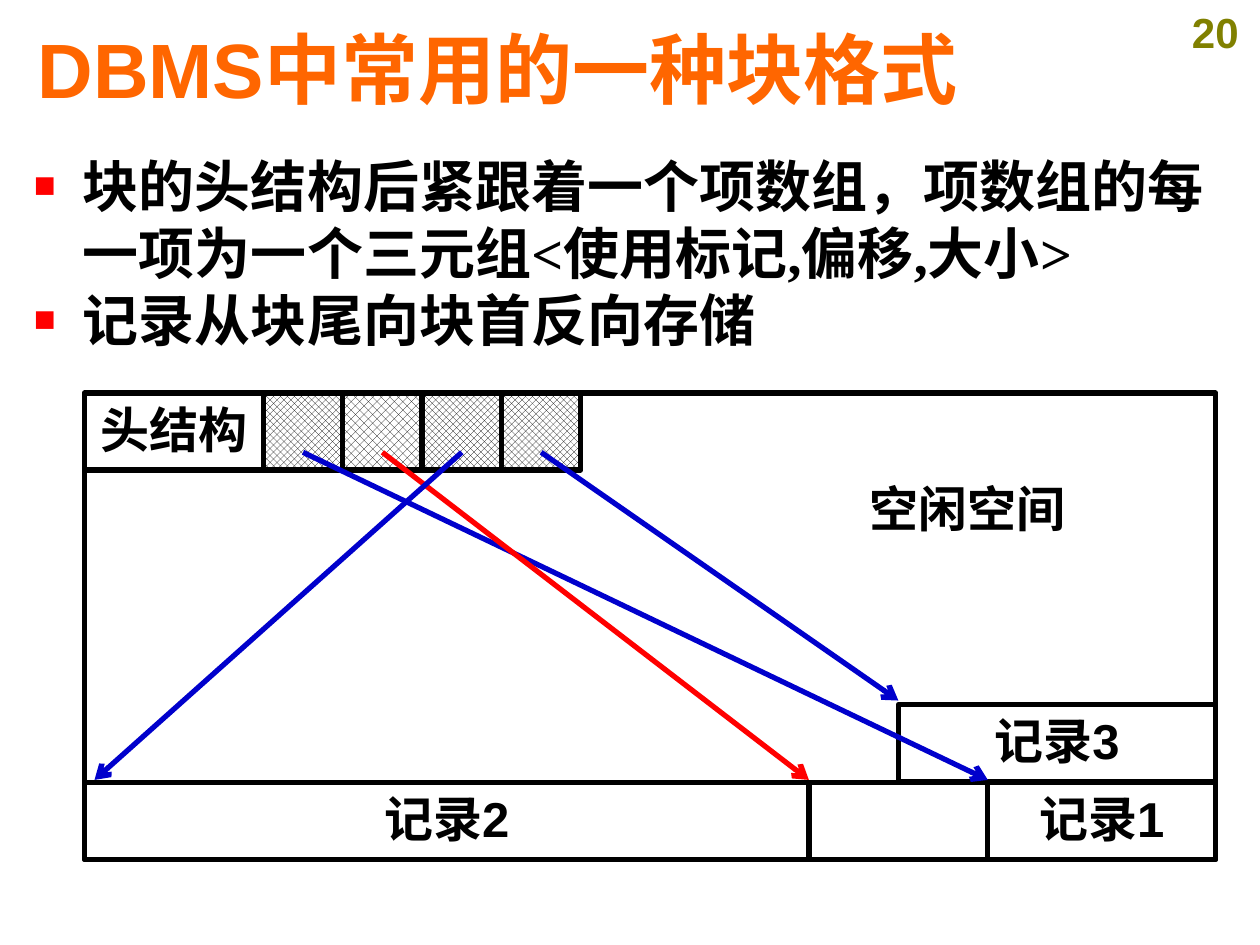
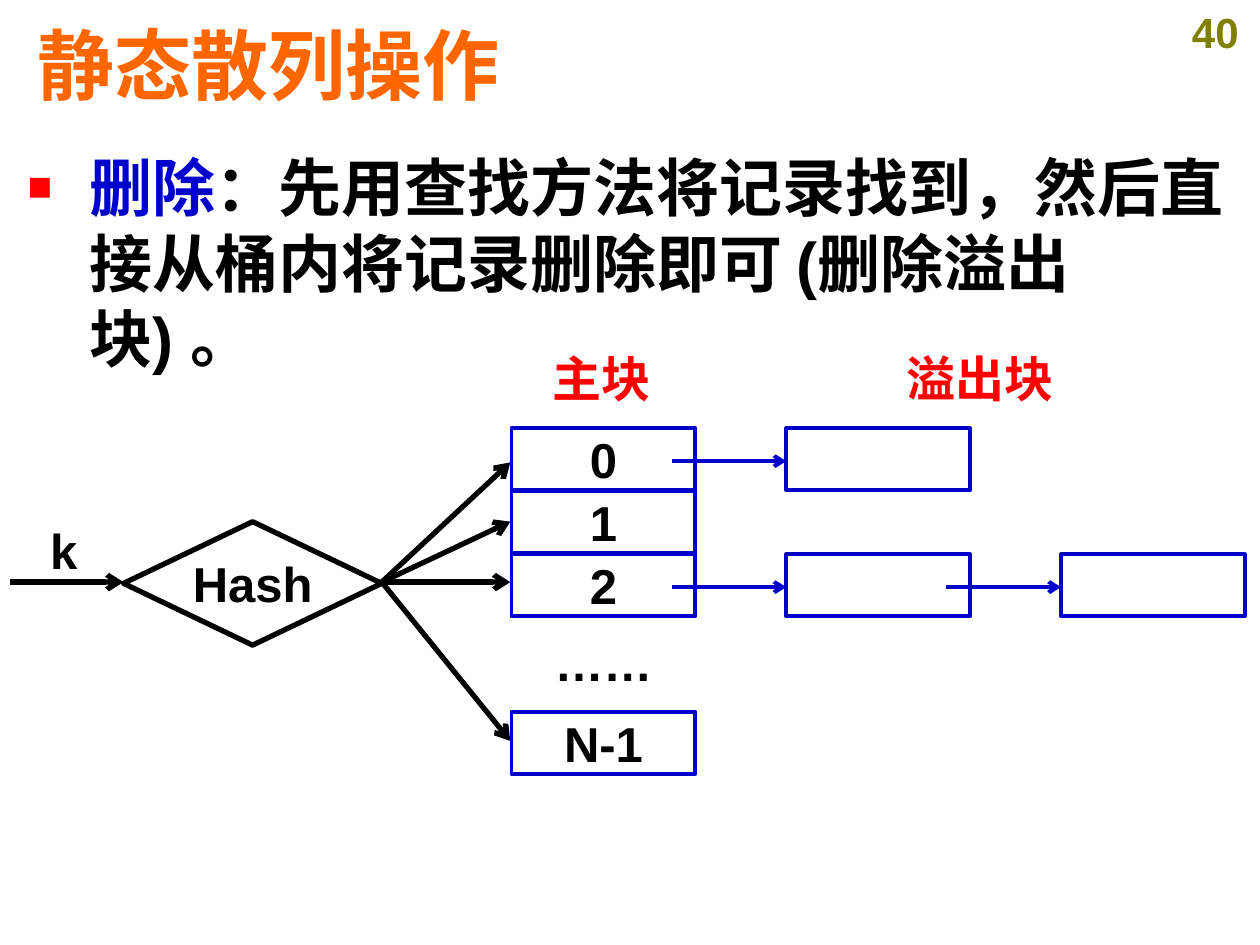
from dataclasses import dataclass
from typing import Any

from lxml.etree import SubElement as Sub
from pptx import Presentation
from pptx.dml.color import RGBColor
from pptx.enum.dml import MSO_PATTERN as Pat
from pptx.enum.shapes import MSO_CONNECTOR as Conn, MSO_SHAPE as Kind
from pptx.enum.text import MSO_ANCHOR as Anchor, PP_ALIGN as Align
from pptx.oxml.ns import qn
from pptx.slide import Slide
from pptx.util import Inches, Pt

BLACK, WHITE, RED, BLUE = "000000", "FFFFFF", "FF0000", "0000CC"
ORANGE, OLIVE = "FF6600", "808000"
SANS, SERIF = "Arial", "Times New Roman"


@dataclass
class Box:
    left: float
    top: float
    width: float
    height: float
    text: str = ""
    kind: Any = Kind.RECTANGLE  # None gives a plain text box
    line: str = BLACK
    weight: float = 3
    pattern: Any = None
    size: float = 28
    color: str = BLACK
    align: Any = Align.CENTER
    anchor: Any = Anchor.TOP
    wrap: bool = True
    side: float = 0.1
    edge: float = 0.05
    spacing: float = 1.0


@dataclass
class Arrow:
    start: tuple[float, float]
    end: tuple[float, float]
    color: str = BLACK
    weight: float = 3


@dataclass
class Bullet:
    runs: list[tuple[str, str]]
    size: float
    font: str
    indent: float


def rgb(code: str) -> RGBColor:
    return RGBColor.from_string(code)


def apply(target: Any, values: dict[str, Any]) -> None:
    for name, value in values.items():
        setattr(target, name, value)


def add_run(para: Any, text: str, size: float, color: str, font: str = SANS) -> None:
    run = para.add_run()
    run.text = text
    apply(run.font, {"name": font, "size": Pt(size), "bold": True})
    run.font.color.rgb = rgb(color)


def add_box(slide: Slide, box: Box) -> None:
    place = [Inches(n) for n in (box.left, box.top, box.width, box.height)]
    if box.kind is None:
        shape = slide.shapes.add_textbox(*place)
    else:
        shape = slide.shapes.add_shape(box.kind, *place)
        shape.shadow.inherit = False
        shape.line.color.rgb = rgb(box.line)
        shape.line.width = Pt(box.weight)
        if box.pattern is None:
            shape.fill.background()
        else:
            shape.fill.patterned()
            shape.fill.pattern = box.pattern
            shape.fill.fore_color.rgb = rgb(BLACK)
            shape.fill.back_color.rgb = rgb(WHITE)
    if box.text:
        side, edge = Inches(box.side), Inches(box.edge)
        frame = shape.text_frame
        apply(frame, {
            "word_wrap": box.wrap, "vertical_anchor": box.anchor,
            "margin_left": side, "margin_right": side,
            "margin_top": edge, "margin_bottom": edge,
        })
        para = frame.paragraphs[0]
        apply(para, {"alignment": box.align, "line_spacing": box.spacing})
        add_run(para, box.text, box.size, box.color)


def add_arrow(slide: Slide, arrow: Arrow) -> None:
    ends = [Inches(n) for n in (*arrow.start, *arrow.end)]
    link = slide.shapes.add_connector(Conn.STRAIGHT, *ends)
    link.line.color.rgb = rgb(arrow.color)
    link.line.width = Pt(arrow.weight)
    props = link.element.spPr
    Sub(props.find(qn("a:ln")), qn("a:tailEnd"), type="arrow")
    Sub(props, qn("a:effectLst"))


def add_body(slide: Slide, place: tuple[float, ...], items: list[Bullet]) -> None:
    frame = slide.shapes.add_textbox(*[Inches(n) for n in place]).text_frame
    frame.word_wrap = True
    for index, item in enumerate(items):
        para = frame.add_paragraph() if index else frame.paragraphs[0]
        props = para._p.get_or_add_pPr()
        props.set("marL", str(Inches(item.indent)))
        props.set("indent", str(-Inches(item.indent)))
        Sub(Sub(props, qn("a:buClr")), qn("a:srgbClr"), val=RED)
        Sub(props, qn("a:buSzPct"), val="65000")
        Sub(props, qn("a:buFont"), typeface=SANS)
        Sub(props, qn("a:buChar"), char="■")
        for text, color in item.runs:
            add_run(para, text, item.size, color, item.font)


def new_slide(deck: Any, title: str, top: float, number: int) -> Slide:
    """Add a blank slide with the shared title style and page number."""
    slide = deck.slides.add_slide(deck.slide_layouts[6])
    add_box(slide, Box(9.29, 0, 0.71, 0.5, str(number), None, size=24, color=OLIVE))
    add_box(slide, Box(0.2, top, 9.47, 0.76, title, None, size=44, color=ORANGE,
                       align=Align.LEFT, anchor=Anchor.MIDDLE))
    return slide


def draw_block(deck: Any) -> None:
    slide = new_slide(deck, "DBMS中常用的一种块格式", 0.16, 20)
    lines = ("块的头结构后紧跟着一个项数组，项数组的每一项为一个三元组<使用标记,偏移,大小>",
             "记录从块尾向块首反向存储")
    add_body(slide, (0.17, 1.15, 9.83, 5.77),
             [Bullet([(line, BLACK)], 32, SERIF, 0.39) for line in lines])

    left, top, row, slot = 0.67, 3.12, 0.61, 0.63
    base, first = 6.21, 2.09
    add_box(slide, Box(left, top, 8.98, 3.7))
    add_box(slide, Box(left, top, first - left, row, "头结构"))
    weave = Pat.OUTLINED_DIAMOND
    for index, pattern in enumerate((weave, Pat.PERCENT_50, weave, weave)):
        add_box(slide, Box(first + slot * index, top, slot, row, pattern=pattern))
    for x, y, width, text in (
        (left, base, 5.75, "记录2"),
        (7.84, base, 1.81, "记录1"),
        (6.42, base, 1.42, ""),
        (7.13, 5.59, 2.52, "记录3"),
    ):
        add_box(slide, Box(x, y, width, row, text))
    add_box(slide, Box(6.42, 3.75, 2.52, 0.57, "空闲空间", None))

    goals = ((7.84, 6.19, BLUE), (6.42, 6.19, RED), (0.75, 6.19, BLUE), (7.13, 5.56, BLUE))
    for index, (x, y, color) in enumerate(goals):
        start = (first + slot * (index + 0.5), 3.59)
        add_arrow(slide, Arrow(start, (x, y), color))


def draw_hash(deck: Any) -> None:
    slide = new_slide(deck, "静态散列操作", 0.13, 40)
    rest = "：先用查找方法将记录找到，然后直接从桶内将记录删除即可 (删除溢出块) 。"
    add_body(slide, (0.12, 1.13, 9.69, 6),
             [Bullet([("删除", BLUE), (rest, BLACK)], 36, SANS, 0.49)])

    left, top, width, height = 4.06, 3.4, 1.46, 0.49
    step, gap = 0.5, 2.18
    middle = {"anchor": Anchor.MIDDLE, "wrap": False}
    frame = {"line": BLUE, "weight": 2.25, **middle}
    for x, text in ((3.95, "主块"), (6.95, "溢出块")):
        add_box(slide, Box(x, 2.81, 1.65, 0.48, text, None, color=RED,
                           side=0, spacing=0.8))
    for row, text in ((0, "0"), (1, "1"), (2, "2"), (4.5, "N-1")):
        add_box(slide, Box(left, top + step * row, width, height, text, **frame))
    add_box(slide, Box(left, 5.01, width, height, "……", None, **middle))
    for col, row in ((1, 0), (1, 2), (2, 2)):
        x, y = left + gap * col, top + step * row
        add_box(slide, Box(x, y, width, height, **frame))
        add_arrow(slide, Arrow((x - 0.91, y + 0.26), (x, y + 0.26), BLUE, 2.25))

    axis, tip = 4.62, 3.03
    add_box(slide, Box(0.98, 4.14, 2.05, 0.98, "Hash", Kind.DIAMOND,
                       anchor=Anchor.MIDDLE, side=0, edge=0))
    add_box(slide, Box(0.27, 4.12, 0.47, height, "k", None, **middle))
    add_arrow(slide, Arrow((0.08, axis), (0.98, axis)))
    for y in (3.67, 4.14, axis, 5.88):
        add_arrow(slide, Arrow((tip, axis), (4.05, y)))


def main() -> None:
    deck = Presentation()
    apply(deck, {"slide_width": Inches(10), "slide_height": Inches(7.5)})
    draw_block(deck)
    draw_hash(deck)
    deck.save("out.pptx")


if __name__ == "__main__":
    main()
